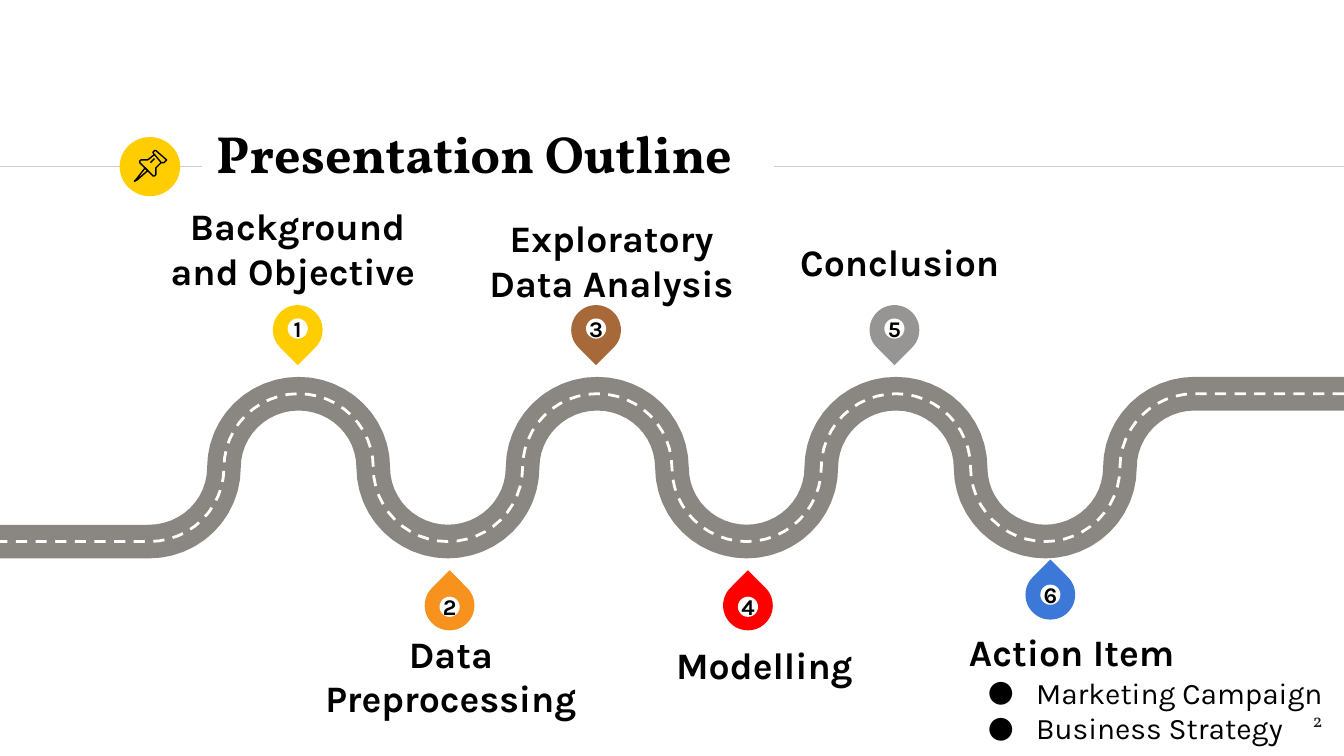
from math import cos, pi, sin

from lxml.etree import SubElement
from pptx import Presentation
from pptx.dml.color import RGBColor
from pptx.enum.dml import MSO_LINE
from pptx.enum.shapes import MSO_CONNECTOR, MSO_SHAPE
from pptx.enum.text import MSO_ANCHOR, PP_ALIGN
from pptx.oxml.ns import qn
from pptx.util import Pt

PX = 9144
COLORS = {
    "black": "000000", "ink": "1D1D1B", "white": "FFFFFF", "rule": "CCCCCC",
    "asphalt": "8A8682", "yellow": "FFCD00", "orange": "F6921D",
    "brown": "A7693A", "red": "FF0000", "gray": "979593", "blue": "3C78D8",
}
HEADING = {"name": "Vollkorn", "size": Pt(28), "bold": True}
PAGE = {"name": "Vollkorn", "size": Pt(10)}
LABEL = {"name": "Karla", "size": Pt(20), "bold": True}
DETAIL = {"name": "Karla", "size": Pt(16), "bold": False}
DIGIT = {"name": "Karla", "size": Pt(12), "bold": True}


def rgb(color):
    return RGBColor.from_string(COLORS[color])


def emu(*lengths):
    return [round(length * PX) for length in lengths]


def apply(target, values):
    for name, value in values.items():
        setattr(target, name, value)


def write(frame, lines, align, anchor, margin=0, wrap=True, color="black"):
    apply(frame, {"word_wrap": wrap, "vertical_anchor": anchor})
    apply(frame, {f"margin_{side}": margin * PX for side in ("left", "top", "right", "bottom")})
    for index, (words, font) in enumerate(lines):
        paragraph = frame.paragraphs[0] if index == 0 else frame.add_paragraph()
        paragraph.alignment = align
        run = paragraph.add_run()
        run.text = words
        apply(run.font, font)
        run.font.color.rgb = rgb(color)


def add_text(slide, box, lines, align=PP_ALIGN.CENTER, anchor=MSO_ANCHOR.BOTTOM, **options):
    frame = slide.shapes.add_textbox(*emu(*box)).text_frame
    write(frame, lines, align, anchor, **options)
    return frame


def add_solid(slide, preset, box, color):
    solid = slide.shapes.add_shape(preset, *emu(*box))
    solid.shadow.inherit = False
    solid.fill.solid()
    solid.fill.fore_color.rgb = rgb(color)
    solid.line.fill.background()
    return solid


def add_outline(slide, points, color, width, close=False, dash=None):
    corners = [emu(*point) for point in points]
    builder = slide.shapes.build_freeform(*corners[0])
    builder.add_line_segments(corners[1:], close=close)
    outline = builder.convert_to_shape()
    outline.shadow.inherit = False
    outline.fill.background()
    outline.line.color.rgb = rgb(color)
    apply(outline.line, {"width": Pt(width), "dash_style": dash})


def add_rule(slide, start, end, y):
    rule = slide.shapes.add_connector(MSO_CONNECTOR.STRAIGHT, *emu(start, y, end, y))
    rule.line.color.rgb = rgb("rule")
    rule.line.width = Pt(0.75)
    SubElement(rule._element.spPr, qn("a:effectLst"))


def add_pushpin(slide, left, top):
    needle = [(8, 13), (1, 22), (0, 23), (2, 22), (10, 15)]
    cap = [(15, 3), (20, 9), (22, 9), (23, 8), (24, 7), (16, 0), (15, 0), (14, 1), (14, 2)]
    body = [(15, 3), (10, 7), (9, 7), (7, 7), (5, 7), (4, 8), (4, 9), (14, 19),
            (15, 19), (16, 18), (16, 16), (16, 13), (20, 9)]
    glint = [(12, 9), (15, 6)]
    for part, close in ((needle, True), (cap, True), (body, False), (glint, False)):
        add_outline(slide, [(left + x, top + y) for x, y in part], "black", 0.75, close)


def add_header(slide, left, top, width, height):
    middle = top + height // 2
    add_rule(slide, left, left + 150, middle)
    add_solid(slide, MSO_SHAPE.OVAL, (left + 89, middle - 22, 45, 44), "yellow")
    add_rule(slide, left + 576, left + width, middle)
    add_text(slide, (left + 151, middle - 34, 424, 47), [("Presentation Outline", HEADING)],
             PP_ALIGN.LEFT, MSO_ANCHOR.MIDDLE, margin=10)
    add_pushpin(slide, left + 100, middle - 12)


def add_road(slide, left, top, width, height):
    radius = height / 2
    pitch = width / 9
    steps = 24
    points = [(left + width, top)]
    for bend in range(8, 0, -1):
        side = 1 if bend % 2 else -1
        first = steps // 2 if bend == 8 else 0
        last = steps // 2 if bend == 1 else steps
        for step in range(first, last + 1):
            angle = pi * step / steps
            points.append((left + pitch * bend + pitch / 2 * cos(angle),
                           top + radius + side * radius * sin(angle)))
    points.append((left, top + height))
    add_outline(slide, points, "asphalt", 18)
    add_outline(slide, points, "white", 1.5, dash=MSO_LINE.DASH)


def add_marker(slide, left, top, number, color, turn, hole_drop):
    drop = add_solid(slide, MSO_SHAPE.TEAR, (left, top, 37, 37), color)
    drop.rotation = turn
    hole = add_solid(slide, MSO_SHAPE.OVAL, (left + 11, top + hole_drop, 15, 15), "white")
    write(hole.text_frame, [(str(number), DIGIT)], PP_ALIGN.CENTER, MSO_ANCHOR.MIDDLE, wrap=False)


def add_action_item(slide, left, top, width, height):
    lines = [("Action Item", LABEL), ("Marketing Campaign", DETAIL), ("Business Strategy", DETAIL)]
    frame = add_text(slide, (left, top, width, height), lines, PP_ALIGN.JUSTIFY)
    for paragraph in frame.paragraphs[1:]:
        properties = paragraph._p.get_or_add_pPr()
        properties.set("marL", str(50 * PX))
        properties.set("indent", str(-36 * PX))
        bullet_color = SubElement(properties, qn("a:buClr"))
        SubElement(bullet_color, qn("a:srgbClr"), val=COLORS["black"])
        SubElement(properties, qn("a:buSzPts"), val="1600")
        SubElement(properties, qn("a:buFont"), typeface="Karla")
        SubElement(properties, qn("a:buChar"), char="●")


def add_milestones(slide, left, top):
    markers = [
        (203, 67, "yellow", 135, 10), (316, 272, "orange", 315, 12),
        (425, 67, "brown", 135, 10), (538, 272, "red", 315, 12),
        (647, 67, "gray", 135, 10), (763, 264, "blue", 315, 11),
    ]
    for number, (x, y, color, turn, hole_drop) in enumerate(markers, 1):
        add_marker(slide, left + x, top + y, number, color, turn, hole_drop)
    labels = [
        ("Background and Objective ", 126, 0, 191, 58, PP_ALIGN.CENTER, MSO_ANCHOR.BOTTOM),
        ("Data Preprocessing", 236, 318, 199, 58, PP_ALIGN.CENTER, MSO_ANCHOR.BOTTOM),
        ("Exploratory Data Analysis ", 364, 0, 182, 58, PP_ALIGN.CENTER, MSO_ANCHOR.TOP),
        ("Modelling", 503, 308, 141, 43, PP_ALIGN.LEFT, MSO_ANCHOR.BOTTOM),
        ("Conclusion", 593, 18, 153, 58, PP_ALIGN.CENTER, MSO_ANCHOR.TOP),
    ]
    for words, x, y, width, height, align, anchor in labels:
        add_text(slide, (left + x, top + y, width, height), [(words, LABEL)], align, anchor)
    add_action_item(slide, left + 721, top + 299, 270, 96)


def main():
    deck = Presentation()
    apply(deck, {"slide_width": 1000 * PX, "slide_height": 1000 * PX * 9 // 16})
    slide = deck.slides.add_slide(deck.slide_layouts[6])
    add_header(slide, 0, 90, 1000, 68)
    add_text(slide, (934, 519, 60, 43), [("2", PAGE)], PP_ALIGN.RIGHT, MSO_ANCHOR.TOP,
             margin=10, color="ink")
    add_road(slide, 0, 293, 1000, 110)
    add_milestones(slide, 0, 160)
    deck.save("out.pptx")


if __name__ == "__main__":
    main()
